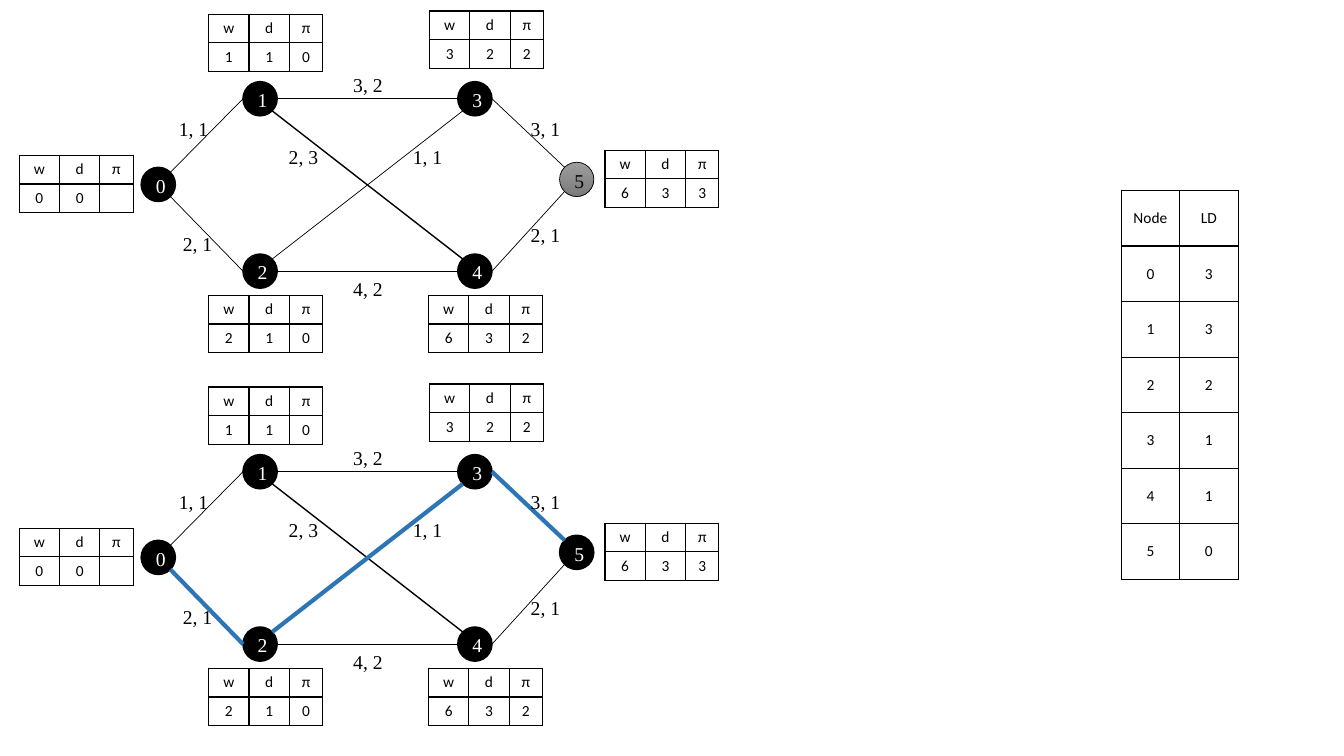
from math import cos, radians, sin

from lxml import etree
from pptx import Presentation
from pptx.dml.color import RGBColor
from pptx.enum.shapes import MSO_CONNECTOR, MSO_SHAPE
from pptx.enum.text import MSO_ANCHOR, MSO_AUTO_SIZE, PP_ALIGN
from pptx.oxml.ns import qn
from pptx.util import Inches, Pt

LINE, OVAL = MSO_CONNECTOR.STRAIGHT, MSO_SHAPE.OVAL
MIDDLE, CENTER = MSO_ANCHOR.MIDDLE, PP_ALIGN.CENTER
FIT = MSO_AUTO_SIZE.SHAPE_TO_FIT_TEXT

THEME = {
    "black": RGBColor(0x00, 0x00, 0x00),
    "white": RGBColor(0xFF, 0xFF, 0xFF),
    "path": RGBColor(0x2E, 0x75, 0xB6),
    "greys": (RGBColor(0x9D, 0x9D, 0x9D), RGBColor(0x7C, 0x7C, 0x7C)),
    "graph": ("Times New Roman", 14),
    "table": ("Calibri", 11),
    "thin": 0.5, "medium": 1, "thick": 3,
}

# Grid of the graph, in inches
COLS = (1.57, 2.58, 4.71, 5.72)
ROWS = (0.98, 1.83, 2.69)
GRAPH_STEP = 3.7
NODE = 0.34
LABEL_W, LABEL_H = 0.64, 0.34
TABLE_COLS, TABLE_ROW = (0.4, 0.4, 0.33), 0.57 / 2

NODES = ((COLS[0], ROWS[1]), (COLS[1], ROWS[0]), (COLS[1], ROWS[2]),
         (COLS[2], ROWS[0]), (COLS[2], ROWS[2]), (COLS[3], ROWS[1] - 0.05))

# Start node, angle it leaves at, end node, angle it arrives at
EDGES = ((0, -45, 1, 180), (1, 0, 3, 180), (3, 0, 5, 225), (0, 45, 2, 180),
         (2, 0, 4, 180), (4, 0, 5, 135), (1, 45, 4, 225), (2, -45, 3, 135))
LONGEST_PATH = ((0, 2), (2, 3), (3, 5))

# Label and its centre
LABELS = (("1, 1", 1.92, 1.28), ("2, 1", 1.96, 2.42), ("3, 2", 3.65, 0.84),
          ("4, 2", 3.65, 2.87), ("2, 3", 3.01, 1.56), ("1, 1", 4.24, 1.56),
          ("3, 1", 5.41, 1.28), ("2, 1", 5.41, 2.33))

# Left, top and values of each node's table
NODE_TABLES = ((2.07, 0.14, "110"), (0.19, 1.54, "00 "), (2.07, 2.93, "210"),
               (4.26, 0.11, "322"), (4.25, 2.93, "632"), (6, 1.49, "633"))


def write(tf, text, style, color):
    name, size = THEME[style]
    p = tf.paragraphs[0]
    p.text = text
    p.alignment = CENTER
    for r in p.runs:
        r.font.name, r.font.size = name, Pt(size)
        r.font.color.rgb = color
    if not text:
        p._p.get_or_add_endParaRPr().set("sz", str(size * 100))


def add_grid(left, top, widths, height, rows):
    frame = s.shapes.add_table(len(rows), len(widths), Inches(left), Inches(top),
                               Inches(sum(widths)), Inches(height * len(rows)))
    table = frame.table
    table.first_row = table.horz_banding = False
    for column, width in zip(table.columns, widths):
        column.width = Inches(width)
    for i, values in enumerate(rows):
        table.rows[i].height = Inches(height)
        for j, value in enumerate(values):
            cell = table.cell(i, j)
            cell.margin_left = cell.margin_right = 0
            cell.margin_top = cell.margin_bottom = 0
            cell.vertical_anchor = MIDDLE
            write(cell.text_frame, value.strip(), "table", THEME["black"])
            tcPr = cell._tc.get_or_add_tcPr()
            for side in ("a:lnL", "a:lnR", "a:lnT", "a:lnB"):
                ln = etree.SubElement(tcPr, qn(side), w=str(Pt(THEME["medium"])))
                fill = etree.SubElement(ln, qn("a:solidFill"))
                etree.SubElement(fill, qn("a:srgbClr"), val=str(THEME["black"]))
            cell.fill.background()


prs = Presentation()
prs.slide_width, prs.slide_height = Inches(13.33), Inches(7.5)
s = prs.slides.add_slide(prs.slide_layouts[6])

# Longest distance from each node
add_grid(11.12, 1.89, (0.58, 0.58), 3.86 / 7,
         [("Node", "LD"), *((str(i), d) for i, d in enumerate("332110"))])

# Finished graph below, graph in progress above
for finished in (True, False):
    dy = GRAPH_STEP if finished else 0
    graph = s.shapes.add_group_shape().shapes

    # Nodes
    for i, (x, y) in enumerate(NODES):
        pending = i == 5 and not finished
        sp = graph.add_shape(OVAL, Inches(x - NODE / 2), Inches(y + dy - NODE / 2),
                             Inches(NODE), Inches(NODE))
        sp.shadow.inherit = False
        if pending:
            sp.fill.gradient()
            sp.fill.gradient_angle = 270
            for stop, grey in zip(sp.fill.gradient_stops, THEME["greys"]):
                stop.color.rgb = grey
        else:
            sp.fill.solid()
            sp.fill.fore_color.rgb = THEME["black"]
        sp.line.color.rgb = THEME["black"]
        sp.line.width = Pt(THEME["thin" if pending else "medium"])
        tf = sp.text_frame
        tf.margin_left, tf.margin_right = Inches(0.05), 0
        tf.margin_top, tf.margin_bottom = Inches(0.02), 0
        tf.vertical_anchor = MIDDLE
        tf.word_wrap = False
        write(tf, str(i), "graph", THEME["black" if pending else "white"])

    # Edges
    for a, leave, b, arrive in EDGES:
        ends = []
        for node, angle in ((a, leave), (b, arrive)):
            x, y = NODES[node]
            ends += [Inches(x + NODE / 2 * cos(radians(angle))),
                     Inches(y + dy + NODE / 2 * sin(radians(angle)))]
        edge = graph.add_connector(LINE, *ends)
        on_path = finished and (a, b) in LONGEST_PATH
        weight = "thick" if on_path else "medium" if (a, b) == (1, 4) else "thin"
        edge.line.color.rgb = THEME["path" if on_path else "black"]
        edge.line.width = Pt(THEME[weight])
        etree.SubElement(edge._element.spPr, qn("a:effectLst"))

    # Edge labels
    for text, x, y in LABELS:
        box = graph.add_textbox(Inches(x - LABEL_W / 2), Inches(y + dy - LABEL_H / 2),
                                Inches(LABEL_W), Inches(LABEL_H))
        box.text_frame.word_wrap = True
        box.text_frame.auto_size = FIT
        write(box.text_frame, text, "graph", THEME["black"])

    # Node tables
    for left, top, values in NODE_TABLES:
        add_grid(left, top + dy, TABLE_COLS, TABLE_ROW, ("wdπ", values))

prs.save("out.pptx")
